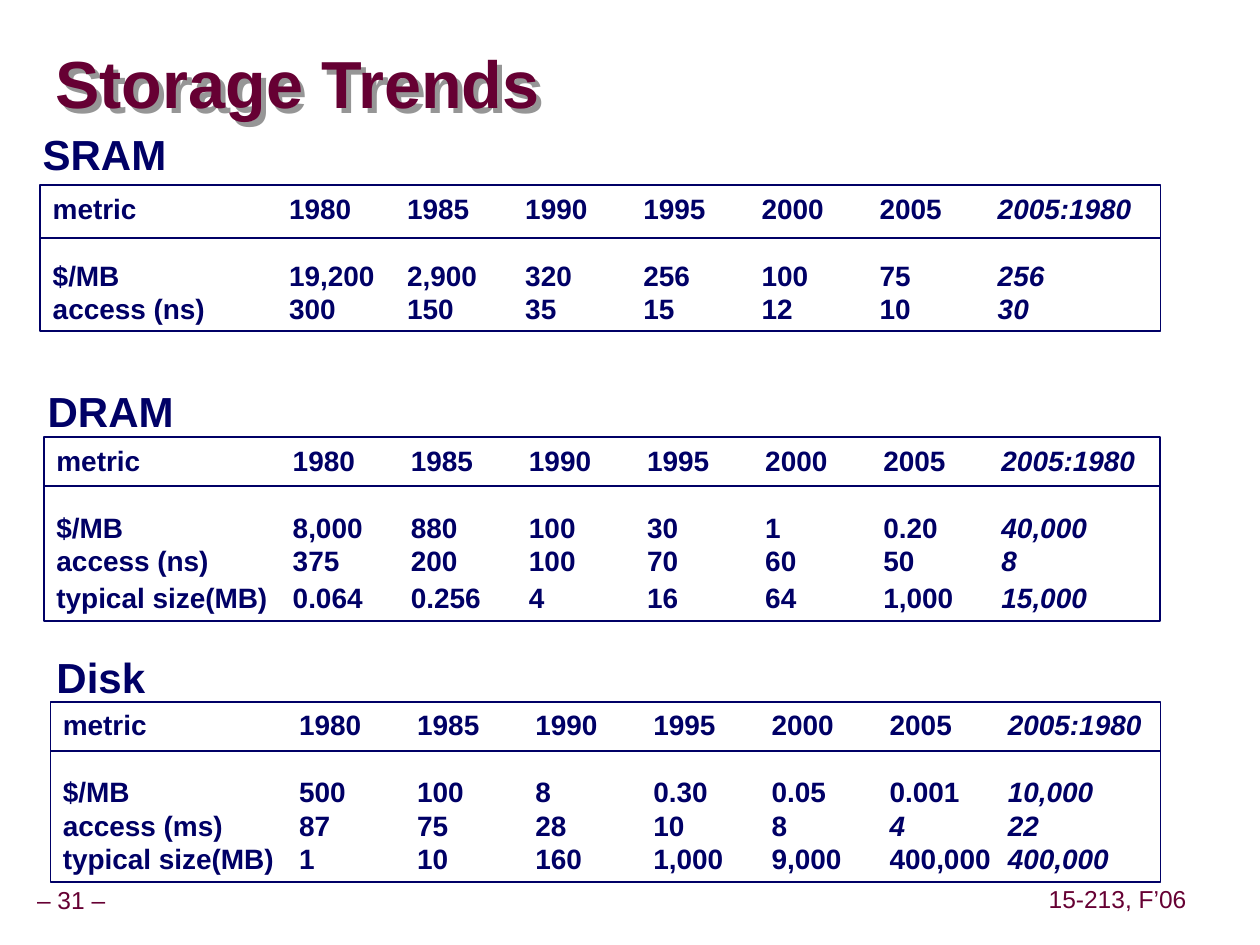
from dataclasses import dataclass

from lxml.etree import SubElement
from pptx import Presentation
from pptx.dml.color import RGBColor
from pptx.enum.shapes import MSO_CONNECTOR as Connector, MSO_SHAPE as Shape
from pptx.enum.text import MSO_ANCHOR as Anchor, MSO_AUTO_SIZE as AutoSize, PP_ALIGN as Align
from pptx.oxml.ns import qn
from pptx.util import Inches, Pt

COLORS = {"title": "660033", "table": "000066", "shadow": "969696"}
FONT = "Arial"
RIGHT_EDGE = 9.21
COLUMN_STEP = 15 / 16
COLUMN_STOPS = [COLUMN_STEP * number for number in range(2, 9)]
HEADER_GAP = 19


@dataclass
class Row:
    label: str
    values: list[str]
    italic_from: int = 6
    space_before: float = 0


@dataclass
class Panel:
    heading: str
    heading_box: tuple[float, float, float, float]
    left: float
    top: float
    height: float
    rule_top: float
    rows: list[Row]


@dataclass
class Footer:
    text: str
    box: tuple[float, float, float, float]


HEADER = Row("metric", ["1980", "1985", "1990", "1995", "2000", "2005", "2005:1980"])

PANELS = [
    Panel("SRAM", (0.24, 0.97, 1.18, 0.5), 0.32, 1.47, 1.16, 1.89, [
        Row("$/MB", ["19,200", "2,900", "320", "256", "100", "75", "256"], space_before=HEADER_GAP),
        Row("access (ns)", ["300", "150", "35", "15", "12", "10", "30"]),
    ]),
    Panel("DRAM", (0.28, 3.01, 1.2, 0.5), 0.35, 3.47, 1.46, 3.86, [
        Row("$/MB", ["8,000", "880", "100", "30", "1", "0.20", "40,000"], space_before=HEADER_GAP),
        Row("access (ns)", ["375", "200", "100", "70", "60", "50", "8"]),
        Row("typical size(MB)", ["0.064", "0.256", "4", "16", "64", "1,000", "15,000"], space_before=2),
    ]),
    Panel("Disk", (0.35, 5.12, 0.9, 0.5), 0.4, 5.57, 1.43, 5.96, [
        Row("$/MB", ["500", "100", "8", "0.30", "0.05", "0.001", "10,000"], space_before=HEADER_GAP),
        Row("access (ms)", ["87", "75", "28", "10", "8", "4", "22"], italic_from=5),
        Row("typical size(MB)", ["1", "10", "160", "1,000", "9,000", "400,000", "400,000"]),
    ]),
]

FOOTERS = [
    Footer("– 31 –", (-0.09, 7, 1.31, 0.31)),
    Footer("15-213, F’06", (8.27, 6.99, 1.2, 0.31)),
]


def format_run(run, size: float, color: str, bold: bool = True, italic: bool = False) -> None:
    font = run.font
    font.name = FONT
    font.size = Pt(size)
    font.bold = bold
    font.italic = italic
    font.color.rgb = RGBColor.from_string(COLORS[color])


def set_margins(text_frame, horizontal: float, vertical: float) -> None:
    text_frame.margin_left = text_frame.margin_right = Inches(horizontal)
    text_frame.margin_top = text_frame.margin_bottom = Inches(vertical)


def add_shadow(shape) -> None:
    shape.fill.background()
    effects = SubElement(shape._element.spPr, qn("a:effectLst"))
    shadow = SubElement(effects, qn("a:outerShdw"), dist="50800", dir="2700000", algn="ctr", rotWithShape="0")
    SubElement(shadow, qn("a:srgbClr"), val=COLORS["shadow"])


def add_title(slide, text: str) -> None:
    title = slide.shapes.title
    title.left, title.top, title.width, title.height = map(Inches, (0.44, 0.27, 9.53, 0.85))
    add_shadow(title)
    text_frame = title.text_frame
    text_frame.text = text
    text_frame.auto_size = AutoSize.NONE
    text_frame.vertical_anchor = Anchor.MIDDLE
    set_margins(text_frame, 0, 0)
    paragraph = text_frame.paragraphs[0]
    paragraph.alignment = Align.LEFT
    paragraph.line_spacing = 0.87
    format_run(paragraph.runs[0], 38, "title")


def add_heading(slide, panel: Panel) -> None:
    text_frame = slide.shapes.add_textbox(*map(Inches, panel.heading_box)).text_frame
    text_frame.text = panel.heading
    text_frame.word_wrap = False
    text_frame.margin_right = 0
    paragraph = text_frame.paragraphs[0]
    paragraph.alignment = Align.LEFT
    format_run(paragraph.runs[0], 24, "table")


def add_footer(slide, footer: Footer) -> None:
    text_frame = slide.shapes.add_textbox(*map(Inches, footer.box)).text_frame
    text_frame.text = footer.text
    text_frame.word_wrap = False
    text_frame.vertical_anchor = Anchor.MIDDLE
    set_margins(text_frame, 0.05, 0.05)
    paragraph = text_frame.paragraphs[0]
    paragraph.alignment = Align.CENTER
    paragraph.line_spacing = 0.9
    format_run(paragraph.runs[0], 14, "title", bold=False)


def write_row(paragraph, row: Row) -> None:
    paragraph.alignment = Align.LEFT
    paragraph.space_before = Pt(row.space_before)
    tab_list = SubElement(paragraph._p.get_or_add_pPr(), qn("a:tabLst"))
    for stop in COLUMN_STOPS:
        SubElement(tab_list, qn("a:tab"), pos=str(Inches(stop)), algn="l")
    upright = "\t".join([row.label, *row.values[:row.italic_from]]) + "\t"
    slanted = "\t".join(row.values[row.italic_from:])
    for text, italic in ((upright, False), (slanted, True)):
        run = paragraph.add_run()
        run.text = text
        format_run(run, 16, "table", italic=italic)


def style_line(line) -> None:
    line.color.rgb = RGBColor.from_string(COLORS["table"])
    line.width = Pt(1)


def add_panel(slide, panel: Panel) -> None:
    box = (panel.left, panel.top, RIGHT_EDGE - panel.left, panel.height)
    frame = slide.shapes.add_shape(Shape.RECTANGLE, *map(Inches, box))
    frame.shadow.inherit = False
    frame.fill.background()
    style_line(frame.line)
    text_frame = frame.text_frame
    text_frame.word_wrap = True
    text_frame.vertical_anchor = Anchor.TOP
    set_margins(text_frame, 0.1, 0.05)
    write_row(text_frame.paragraphs[0], HEADER)
    for row in panel.rows:
        write_row(text_frame.add_paragraph(), row)

    ends = (panel.left, panel.rule_top, RIGHT_EDGE, panel.rule_top)
    rule = slide.shapes.add_connector(Connector.STRAIGHT, *map(Inches, ends))
    style_line(rule.line)
    SubElement(rule._element.spPr, qn("a:effectLst"))
    add_heading(slide, panel)


def main() -> None:
    presentation = Presentation()
    presentation.slide_width = Inches(10)
    presentation.slide_height = Inches(7.5)
    slide = presentation.slides.add_slide(presentation.slide_layouts.get_by_name("Title Only"))
    add_title(slide, "Storage Trends")
    for footer in FOOTERS:
        add_footer(slide, footer)
    for panel in PANELS:
        add_panel(slide, panel)
    presentation.save("out.pptx")


if __name__ == "__main__":
    main()
